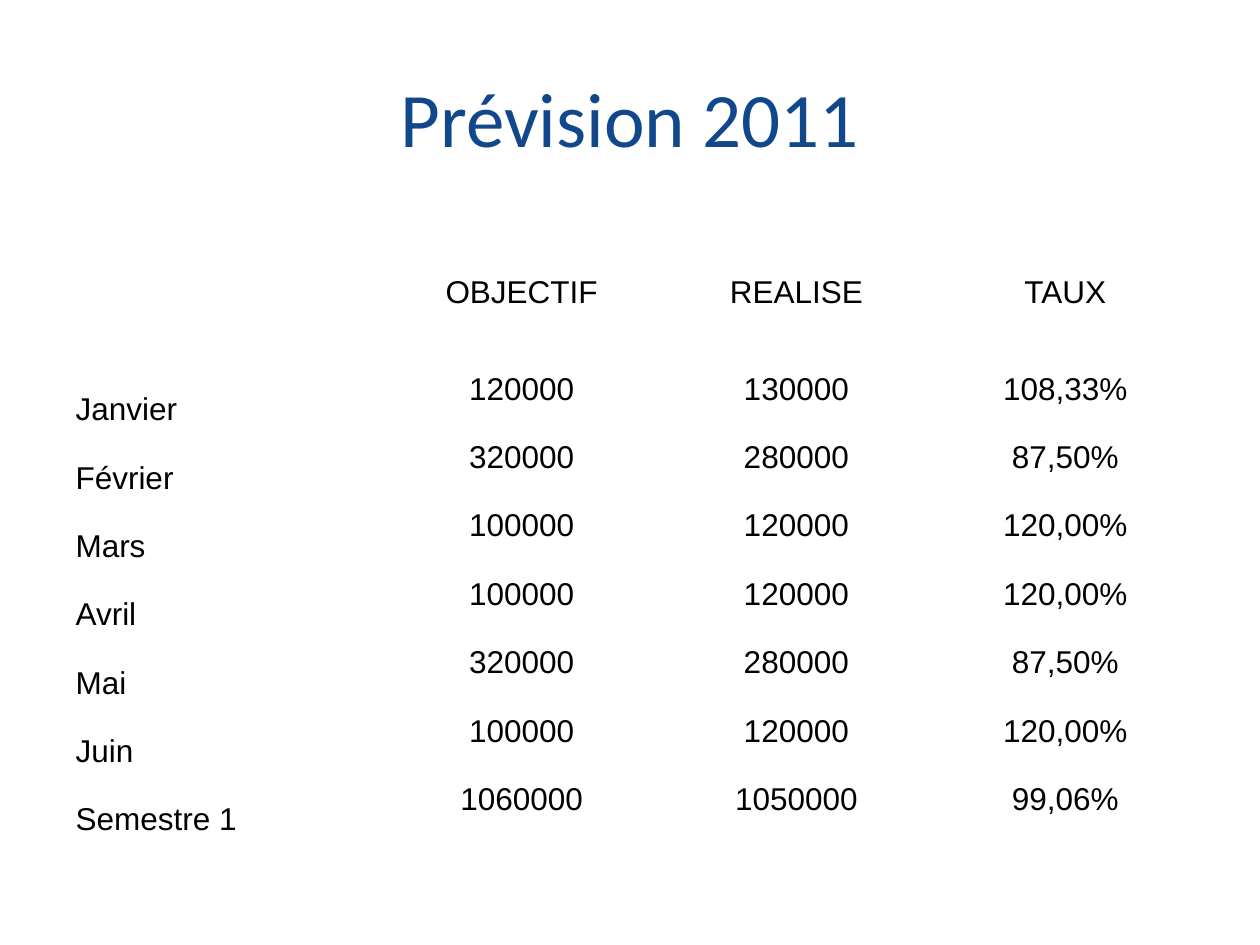
from pptx import Presentation
from pptx.dml.color import RGBColor
from pptx.enum.text import MSO_ANCHOR, PP_ALIGN
from pptx.util import Inches, Pt

TOP, MID, LOW = MSO_ANCHOR.TOP, MSO_ANCHOR.MIDDLE, MSO_ANCHOR.BOTTOM
LEFT, CENTER = PP_ALIGN.LEFT, PP_ALIGN.CENTER

TITLE = "Prévision 2011"
ROWS = [
    ("", "OBJECTIF", "REALISE", "TAUX"),
    ("Janvier", "120000", "130000", "108,33%"),
    ("Février", "320000", "280000", "87,50%"),
    ("Mars", "100000", "120000", "120,00%"),
    ("Avril", "100000", "120000", "120,00%"),
    ("Mai", "320000", "280000", "87,50%"),
    ("Juin", "100000", "120000", "120,00%"),
    ("Semestre 1", "1060000", "1050000", "99,06%"),
]
THEME = {
    "title": ("Calibri", 44, "11478B"),
    "cell": ("Arial", 18, "000000"),
}
WIDE, HIGH = Inches(10), Inches(7.5)
EDGE = WIDE // 20
SPAN = WIDE - 2 * EDGE
COLS = [2.55, 2.18, 2.18, 2.09]
HEAD, BODY = Inches(1.15), Inches(3.8)
HANG = 0.38


def write(frame, text, role, align, anchor):
    frame.vertical_anchor = anchor
    para = frame.paragraphs[0]
    para.alignment = align
    run = para.add_run()
    run.text = text
    face, size, color = THEME[role]
    run.font.name = face
    run.font.size = Pt(size)
    run.font.color.rgb = RGBColor.from_string(color)
    return para


deck = Presentation()
deck.slide_width, deck.slide_height = WIDE, HIGH
slide = deck.slides.add_slide(deck.slide_layouts[5])

title = slide.shapes.title
title.left, title.top = EDGE, Inches(0.3)
title.width, title.height = SPAN, Inches(1.25)
write(title.text_frame, TITLE, "title", CENTER, MID)

table = slide.shapes.add_table(
    len(ROWS), len(COLS), EDGE, Inches(1.75), SPAN, HEAD + BODY).table
table.first_row = table.horz_banding = False
for col, width in zip(table.columns, COLS):
    col.width = Inches(width)

for r, row in enumerate(ROWS):
    table.rows[r].height = HEAD if r == 0 else BODY // (len(ROWS) - 1)
    for c, text in enumerate(row):
        cell = table.cell(r, c)
        cell.fill.background()
        if not text:
            continue
        anchor = MID if r == 0 else LOW if c == 0 else TOP
        cell.vertical_anchor = anchor
        para = write(cell.text_frame, text, "cell",
                     LEFT if c == 0 else CENTER, anchor)
        props = para._p.get_or_add_pPr()
        props.set("marL", str(Inches(HANG)))
        props.set("indent", str(-Inches(HANG)))

deck.save("out.pptx")
